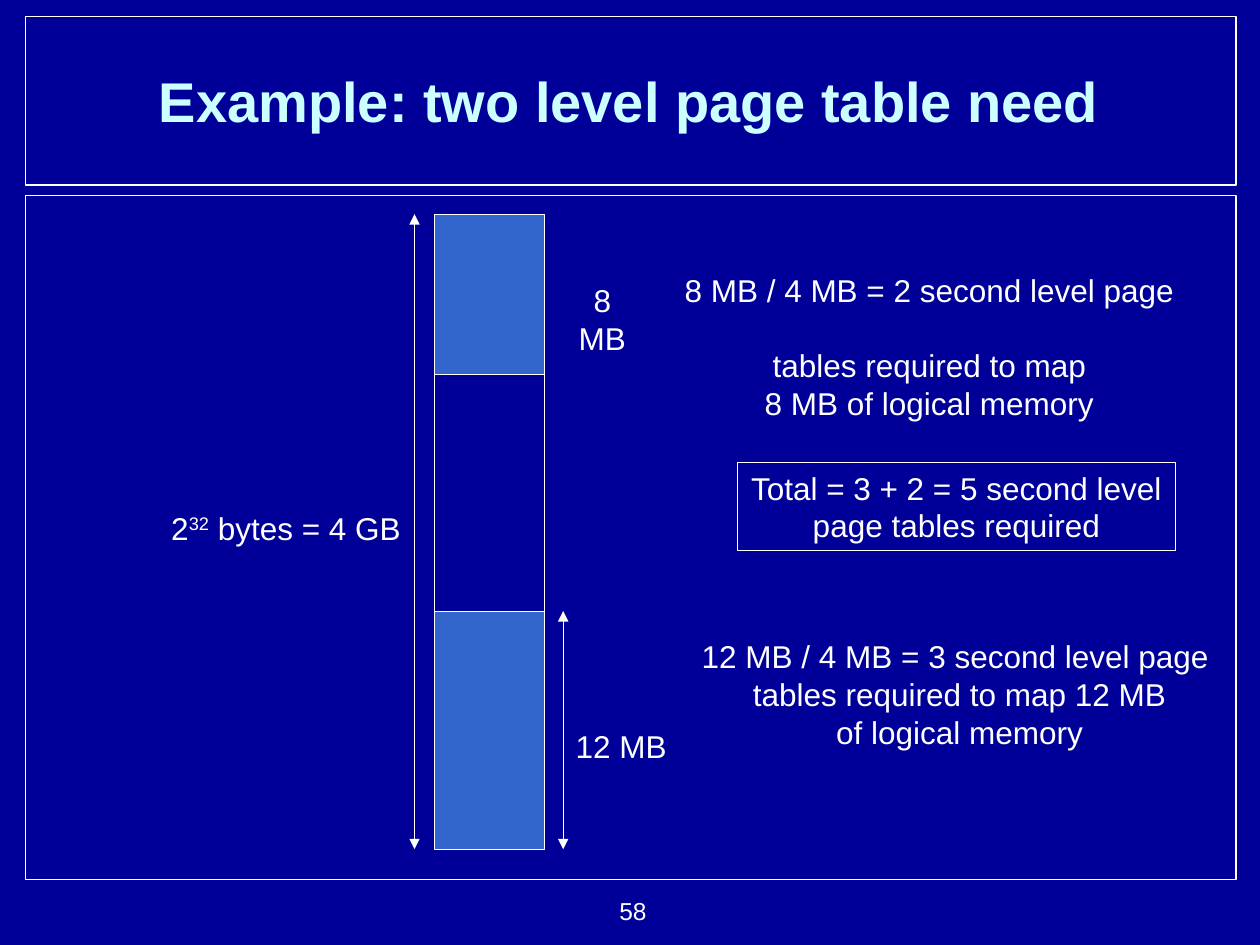
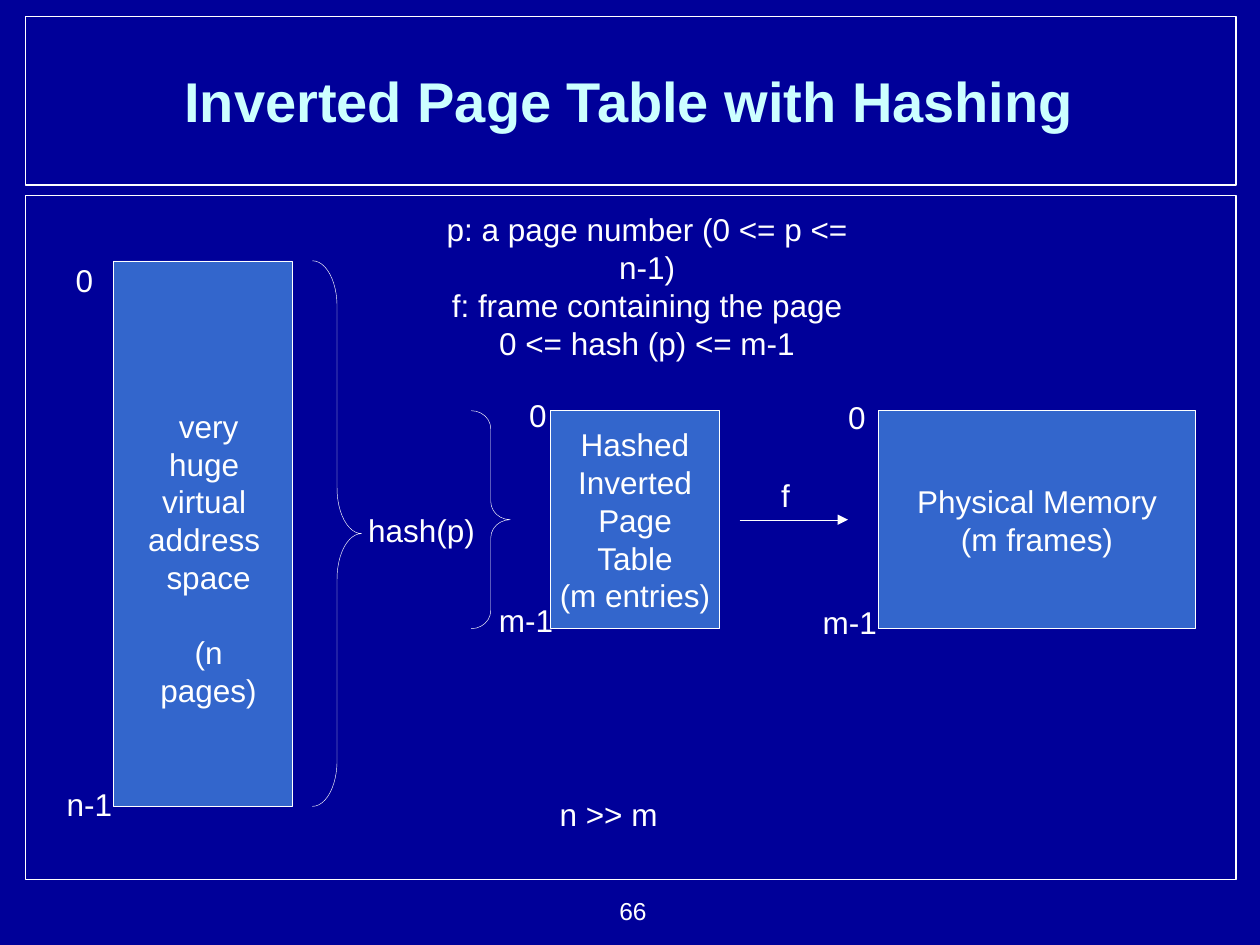
from lxml.etree import SubElement
from pptx import Presentation
from pptx.dml.color import RGBColor
from pptx.enum.shapes import MSO_CONNECTOR, MSO_SHAPE
from pptx.enum.text import MSO_ANCHOR, MSO_AUTO_SIZE, PP_ALIGN
from pptx.oxml.ns import qn
from pptx.util import Inches, Pt

FONT = "Arial"
NAVY, BLUE, WHITE, PALE = "000099", "3366CC", "FFFFFF", "CCFFFF"
THIN, FRAME = 0.25, 0.75


def rgb(value):
    """Turn a hex string into a colour."""
    return RGBColor.from_string(value)


def set_line(shape, width=THIN):
    """Give a shape or connector a white line."""
    shape.line.color.rgb = rgb(WHITE)
    shape.line.width = Pt(width)


def format_text(tf, size=18, color=WHITE, bold=False, align=PP_ALIGN.CENTER):
    """Format every run and paragraph of a text frame."""
    for p in tf.paragraphs:
        p.alignment = align
        for r in p.runs:
            r.font.name = FONT
            r.font.size = Pt(size)
            r.font.bold = bold
            r.font.color.rgb = rgb(color)


def add_box(slide, left, top, width, height, fill=None, text="",
            kind=MSO_SHAPE.RECTANGLE, line=THIN):
    """Add an outlined shape, with an optional fill and centred text."""
    sp = slide.shapes.add_shape(kind, Inches(left), Inches(top),
                                Inches(width), Inches(height))
    sp.shadow.inherit = False
    if fill:
        sp.fill.solid()
        sp.fill.fore_color.rgb = rgb(fill)
    else:
        sp.fill.background()
    set_line(sp, line)
    if text:
        tf = sp.text_frame
        tf.word_wrap = False
        tf.vertical_anchor = MSO_ANCHOR.MIDDLE
        tf.text = text
        format_text(tf)
    return sp


def add_brace(slide, left, top, width, height):
    """Add a right brace whose curls take a twelfth of its height."""
    sp = add_box(slide, left, top, width, height, kind=MSO_SHAPE.RIGHT_BRACE)
    sp.adjustments[0] = height / 12 / width


def add_label(slide, left, top, width, text):
    """Add an unwrapped, centred label as high as its lines."""
    lines = len(text.splitlines())
    sp = slide.shapes.add_textbox(Inches(left), Inches(top), Inches(width),
                                  Inches(0.1 + 0.3 * lines))
    tf = sp.text_frame
    tf.word_wrap = False
    tf.auto_size = MSO_AUTO_SIZE.SHAPE_TO_FIT_TEXT
    tf.text = text
    format_text(tf)
    return sp


def add_arrow(slide, x1, y1, x2, y2, both=False):
    """Add a thin line with a triangle at its end or at both ends."""
    cn = slide.shapes.add_connector(MSO_CONNECTOR.STRAIGHT, Inches(x1),
                                    Inches(y1), Inches(x2), Inches(y2))
    set_line(cn)
    ln = cn.element.spPr.find(qn("a:ln"))
    for end in ("headEnd", "tailEnd") if both else ("tailEnd",):
        SubElement(ln, qn(f"a:{end}"), type="triangle")
    SubElement(cn.element.spPr, qn("a:effectLst"))


def add_slide(prs, title, number):
    """Add a slide with its title and page number."""
    slide = prs.slides.add_slide(prs.slide_layouts[5])
    sp = slide.shapes.title
    sp.left, sp.top = Inches(0.35), Inches(0.17)
    sp.width, sp.height = Inches(9.29), Inches(1.25)
    sp.text_frame.text = title
    sp.text_frame.vertical_anchor = MSO_ANCHOR.MIDDLE
    format_text(sp.text_frame, 32, PALE, True)
    sp = slide.shapes.add_textbox(Inches(4.19), Inches(7.06),
                                  Inches(1.04), Inches(0.34))
    sp.text_frame.word_wrap = True
    sp.text_frame.text = str(number)
    format_text(sp.text_frame, 14, align=PP_ALIGN.RIGHT)
    return slide


def set_up_layout(prs, slide):
    """Set the background and move both frames from a slide to its layout."""
    fill = prs.slide_master.background.fill
    fill.solid()
    fill.fore_color.rgb = rgb(NAVY)
    shapes = slide.slide_layout.shapes
    for sp in list(slide.slide_layout.placeholders)[1:]:
        shapes.element.remove(sp.element)
    frames = [add_box(slide, 0.2, top, 9.61, height, line=FRAME)
              for top, height in ((0.13, 1.34), (1.55, 5.43))]
    for sp in frames:
        shapes.element.append(sp.element)


def build_two_level(slide):
    """Show how many second level page tables are needed."""
    top, bottom = 1.7, 6.74
    used_high, used_low = 2.97, 4.85
    for start, end, fill in ((top, used_high, BLUE),
                             (used_high, used_low, None),
                             (used_low, bottom, BLUE)):
        add_box(slide, 3.45, start, 0.87, end - start, fill)
    add_arrow(slide, 4.47, used_low, 4.47, bottom, both=True)
    add_arrow(slide, 3.29, top, 3.29, bottom, both=True)
    add_label(slide, 4.47, 5.72, 0.92, "12 MB")
    add_label(slide, 4.39, 2.18, 0.78, "8 MB")

    size = add_label(slide, 1.26, 3.99, 2.02, "2")
    p = size.text_frame.paragraphs[0]
    power, rest = p.add_run(), p.add_run()
    power.text, rest.text = "32", " bytes = 4 GB"
    format_text(size.text_frame)
    power.font._element.set("baseline", "30000")

    add_label(slide, 5.47, 5.01, 4.29,
              "12 MB / 4 MB = 3 second level page \v"
              "tables required to map 12 MB\nof logical memory")
    add_label(slide, 5.3, 2.1, 4.15,
              "8 MB / 4 MB = 2 second level page \v"
              "tables required to map\v8 MB of logical memory")
    total = add_label(slide, 5.85, 3.67, 3.48,
                      "Total = 3 + 2 = 5 second level\vpage tables required")
    set_line(total)


def build_hashing(slide):
    """Show the way from a page number through a hash to a frame."""
    space_top, space_height = 2.07, 4.33
    table_top, table_height = 3.26, 1.73
    middle = table_top + table_height / 2
    add_box(slide, 0.9, space_top, 1.42, space_height, BLUE)
    space = add_label(slide, 1.03, 3.18, 1.25,
                      "very\nhuge \nvirtual \naddress \nspace\n(n pages)")
    space.text_frame.paragraphs[-1].space_before = Pt(21.5)
    add_box(slide, 4.37, table_top, 1.34, table_height, BLUE,
            "Hashed\nInverted\vPage\vTable\v(m entries)")
    add_box(slide, 6.97, table_top, 2.52, table_height, BLUE,
            "Physical Memory\n(m frames)")
    add_brace(slide, 3.74, table_top, 0.31, table_height)
    add_brace(slide, 2.48, space_top, 0.39, space_height)
    add_arrow(slide, 5.87, middle, 6.73, middle)
    add_label(slide, 3.19, 1.62, 3.89,
              "p: a page number (0 <= p <= n-1)\n"
              "f: frame containing the page\n0 <= hash (p) <= m-1")
    for left, top, width, text in (
            (2.82, 4.01, 1.05, "hash(p)"), (6.1, 3.73, 0.27, "f"),
            (0.5, 2.02, 0.34, "0"), (0.43, 6.18, 0.56, "n-1"),
            (6.63, 3.11, 0.34, "0"), (6.43, 4.74, 0.63, "m-1"),
            (4.1, 3.09, 0.34, "0"), (3.86, 4.72, 0.63, "m-1"),
            (4.34, 6.26, 0.98, "n >> m")):
        add_label(slide, left, top, width, text)


def main():
    """Build and save the presentation."""
    prs = Presentation()
    prs.slide_width, prs.slide_height = Inches(10), Inches(7.5)
    two_level = add_slide(prs, "Example: two level page table need", 58)
    set_up_layout(prs, two_level)
    build_two_level(two_level)
    build_hashing(add_slide(prs, "Inverted Page Table with Hashing", 66))
    prs.save("out.pptx")


if __name__ == "__main__":
    main()
